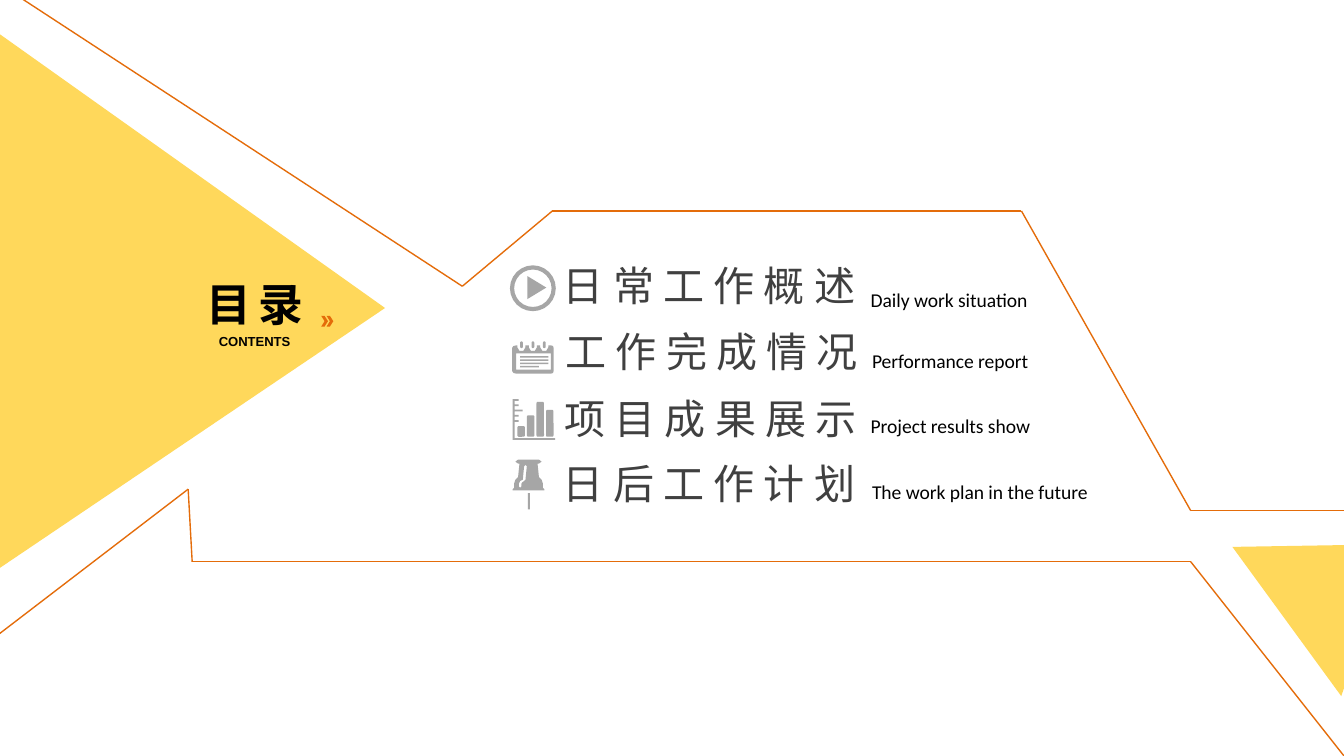
import itertools
from typing import Callable, NamedTuple

import pptx
import pptx.dml.color
import pptx.enum.shapes
import pptx.enum.text
import pptx.oxml.ns
import pptx.util
from lxml import etree

COLUMNS, ROWS = 1000, 562.5
CELL = pptx.util.Inches(10) // COLUMNS

YELLOW = pptx.dml.color.RGBColor(0xFF, 0xD8, 0x5B)
ORANGE = pptx.dml.color.RGBColor(0xE4, 0x6C, 0x0A)
ICON_GRAY = pptx.dml.color.RGBColor(0xA6, 0xA6, 0xA6)
DARK_GRAY = pptx.dml.color.RGBColor(0x40, 0x40, 0x40)
BLACK = pptx.dml.color.RGBColor(0, 0, 0)
CJK_FONT = "Noto Sans CJK SC"
SHAPE = pptx.enum.shapes.MSO_SHAPE

Point = tuple[float, float]


class Box(NamedTuple):
    left: float
    top: float
    width: float
    height: float


class Style(NamedTuple):
    size: float
    font: str
    color: pptx.dml.color.RGBColor
    bold: bool = False
    spacing: int = 0
    wrap: bool = True


class Entry(NamedTuple):
    icon: Callable
    title: str
    title_box: Box
    subtitle: str
    subtitle_box: Box


ENTRY_TITLE = Style(22, CJK_FONT, DARK_GRAY, spacing=5)
ENTRY_SUBTITLE = Style(10.5, "Calibri", BLACK, wrap=False)
HEADING = Style(24, CJK_FONT, BLACK, bold=True, spacing=4)
SUBHEADING = Style(7, "Arial", BLACK, bold=True, wrap=False)


def cells(count: float) -> int:
    return round(count * CELL)


def paint(s, color) -> None:
    s.shadow.inherit = False
    s.fill.solid()
    s.fill.fore_color.rgb = color
    s.line.fill.background()


def add_preset(shapes, kind, box: Box, color, rotation: float = 0):
    s = shapes.add_shape(kind, *map(cells, box))
    paint(s, color)
    s.rotation = rotation
    return s


def add_rounded(shapes, box: Box, rounding: float) -> None:
    add_preset(shapes, SHAPE.ROUNDED_RECTANGLE, box, ICON_GRAY).adjustments[0] = rounding


def add_outline(shapes, color, *contours: list[Point]) -> None:
    first, *others = [[(cells(x), cells(y)) for x, y in c] for c in contours]
    builder = shapes.build_freeform(*first[0])
    builder.add_line_segments(first[1:], close=True)
    for contour in others:
        builder.move_to(*contour[0])
        builder.add_line_segments(contour[1:], close=True)
    paint(builder.convert_to_shape(), color)


def add_text(shapes, text: str, box: Box, style: Style) -> None:
    tf = shapes.add_textbox(*map(cells, box)).text_frame
    tf.word_wrap = style.wrap
    tf.auto_size = pptx.enum.text.MSO_AUTO_SIZE.SHAPE_TO_FIT_TEXT
    tf.text = text
    r = tf.paragraphs[0].runs[0]
    r.font.size = pptx.util.Pt(style.size)
    r.font.name = style.font
    r.font.bold = style.bold
    r.font.color.rgb = style.color
    properties = r._r.get_or_add_rPr()
    etree.SubElement(properties, pptx.oxml.ns.qn("a:ea"), typeface=style.font)
    if style.spacing:
        properties.set("spc", str(style.spacing * 100))


def add_path(shapes, points: list[Point]) -> None:
    for start, end in itertools.pairwise(points):
        s = shapes.add_connector(
            pptx.enum.shapes.MSO_CONNECTOR.STRAIGHT, *map(cells, start + end))
        s.line.color.rgb = ORANGE
        s.line.width = pptx.util.Pt(0.75)
        etree.SubElement(s._element.spPr, pptx.oxml.ns.qn("a:effectLst"))


def draw_play(shapes) -> None:
    ring = add_preset(shapes, SHAPE.OVAL, Box(381, 199, 31, 31), ICON_GRAY)
    ring.fill.background()
    ring.line.color.rgb = ICON_GRAY
    ring.line.width = pptx.util.Pt(2.25)
    add_preset(shapes, SHAPE.ISOSCELES_TRIANGLE, Box(391, 207, 17, 14), ICON_GRAY, 90)


def draw_calendar(shapes) -> None:
    rings = (388, 396.5, 405)
    for x in rings:
        add_rounded(shapes, Box(x - 1, 254, 2, 5), 0.5)
    notch = [(-3, 257), (-3, 258.5), (-1.5, 261), (1.5, 261), (3, 258.5), (3, 257)]
    top = [(x + dx, y) for x in rings for dx, y in notch]
    frame = [(381, 259), (382, 257.5), (384, 257), *top, (410, 257), (411.5, 257.5),
             (412, 259), (412, 276), (411.5, 277.5), (410, 278), (384, 278),
             (382, 277.5), (381, 276)]
    page = [(384, 263), (384, 275), (410, 275), (410, 263)]
    add_outline(shapes, ICON_GRAY, frame, page)
    for index, width in enumerate((21, 21, 21, 14)):
        add_preset(shapes, SHAPE.RECTANGLE,
                   Box(387, 265 + 2.4 * index, width, 1.2), ICON_GRAY)


def draw_bars(shapes) -> None:
    for index, height in enumerate((8, 16, 26, 20)):
        add_rounded(shapes, Box(385 + 7.1 * index, 325 - height, 5.6, height), 0.2)
    ticks = []
    for index, end in enumerate((386, 386, 389, 386, 386)):
        y = 297 + 3.9 * index
        ticks += [(383, y), (end, y), (end, y + 1.3), (383, y + 1.3)]
    add_outline(shapes, ICON_GRAY,
                [(381.5, 297), *ticks, (383, 326), (413, 326), (413, 327.4), (381.5, 327.4)])


def draw_pin(shapes) -> None:
    add_preset(shapes, SHAPE.RECTANGLE, Box(392.7, 367, 1.6, 12), ICON_GRAY)
    right = [(401, 342), (403, 343.5), (401, 345), (400, 345), (401, 355),
             (403, 357), (404, 360), (404, 363), (405, 364), (405, 365)]
    left = [(786.5 - x, y) for x, y in reversed(right)]
    shine = [(390, 347), (391, 346), (392, 347), (391, 357), (390, 358), (388.5, 359),
             (388, 360), (388, 362), (387, 363), (386, 362), (386, 360), (387, 358), (389, 357)]
    add_outline(shapes, ICON_GRAY, right + left, shine)


ENTRIES = [
    Entry(draw_play, "日常工作概述", Box(409, 189, 331, 47),
          "Daily work situation", Box(638, 209, 139, 28)),
    Entry(draw_calendar, "工作完成情况", Box(411, 238, 267, 47),
          "Performance report", Box(639, 255, 139, 28)),
    Entry(draw_bars, "项目成果展示", Box(410, 288, 331, 47),
          "Project results show", Box(638, 303, 141, 28)),
    Entry(draw_pin, "日后工作计划", Box(409, 336, 278, 47),
          "The work plan in the future", Box(639, 352, 183, 28)),
]

UPPER_PATH = [(1, -11), (344, 213), (411, 157), (760, 157), (886, 380), (1004, 380)]
LOWER_PATH = [(-1, 472), (140, 364), (143, 418), (886, 418), (COLUMNS, ROWS)]


def main() -> None:
    prs = pptx.Presentation()
    prs.slide_width, prs.slide_height = cells(COLUMNS), cells(ROWS)
    shapes = prs.slides.add_slide(prs.slide_layouts[6]).shapes

    for entry in ENTRIES:
        group = shapes.add_group_shape().shapes
        entry.icon(group)
        add_text(group, entry.title, entry.title_box, ENTRY_TITLE)
        add_text(group, entry.subtitle, entry.subtitle_box, ENTRY_SUBTITLE)

    triangle = add_preset(shapes, SHAPE.ISOSCELES_TRIANGLE, Box(-57, 80, 399, 288), YELLOW, 90)
    triangle.adjustments[0] = 0.513
    add_outline(shapes, YELLOW, [(998, 518), (1037, 405), (917, 407)])

    heading = shapes.add_group_shape().shapes
    add_text(heading, "目录", Box(144, 201, 102, 51), HEADING)
    for left in (239, 243):
        add_preset(heading, SHAPE.CHEVRON, Box(left, 235, 5, 8), ORANGE)
    add_text(heading, "CONTENTS", Box(153, 243.5, 74, 22), SUBHEADING)

    for points in (UPPER_PATH, LOWER_PATH):
        add_path(shapes.add_group_shape().shapes, points)

    prs.save("out.pptx")


if __name__ == "__main__":
    main()
